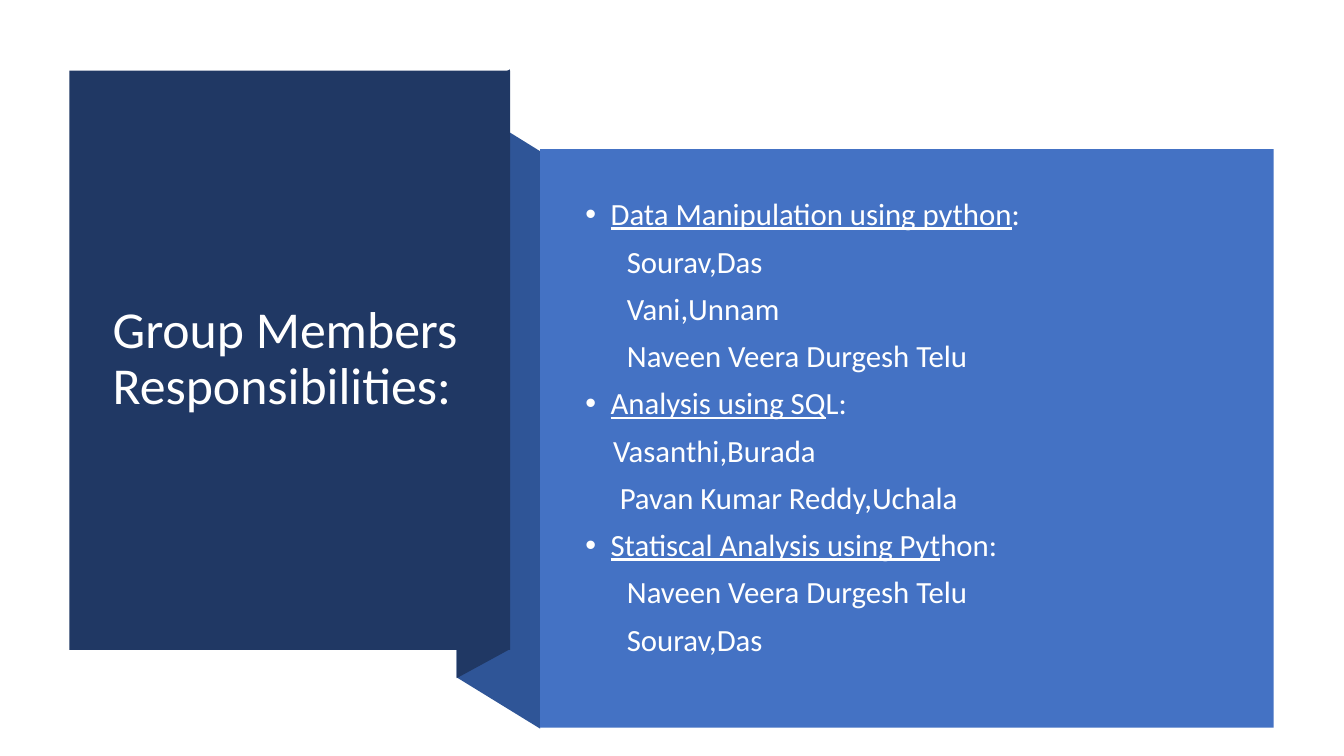
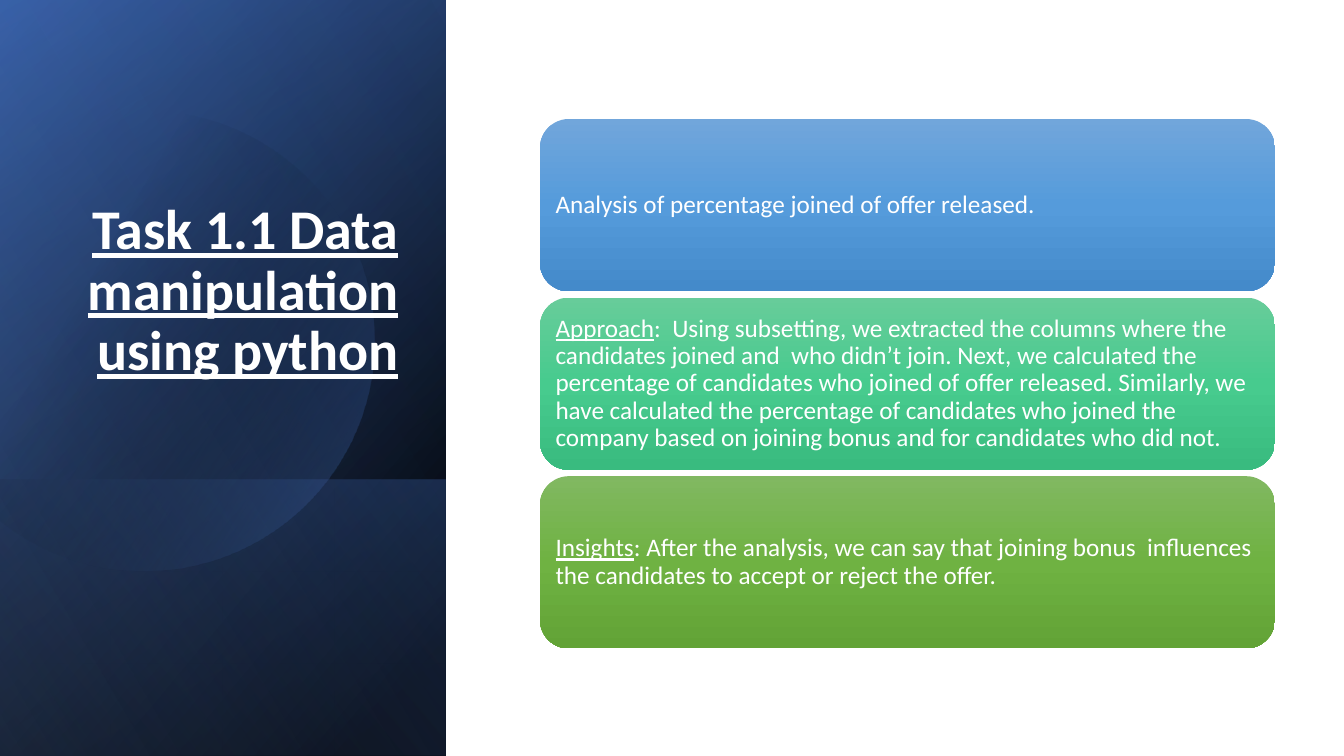
from math import acos, cos, sin

from pptx import Presentation
from pptx.dml.color import RGBColor
from pptx.enum.shapes import MSO_SHAPE
from pptx.enum.text import MSO_ANCHOR, PP_ALIGN
from pptx.oxml import parse_xml
from pptx.oxml.ns import nsdecls
from pptx.util import Cm, Pt

RECT, ROUND = MSO_SHAPE.RECTANGLE, MSO_SHAPE.ROUNDED_RECTANGLE
MIDDLE, BOTTOM = MSO_ANCHOR.MIDDLE, MSO_ANCHOR.BOTTOM
LEFT, RIGHT = PP_ALIGN.LEFT, PP_ALIGN.RIGHT

FONT = "Calibri"
WHITE = RGBColor(0xFF, 0xFF, 0xFF)
BLACK = RGBColor(0x00, 0x00, 0x00)
NAVY = RGBColor(0x20, 0x38, 0x64)
DEEP = RGBColor(0x2F, 0x55, 0x97)
BLUE = RGBColor(0x44, 0x72, 0xC4)
PALE = RGBColor(0x8F, 0xAA, 0xDC)
SKIES = [RGBColor(0x71, 0xA6, 0xDB), RGBColor(0x55, 0x9B, 0xDB), RGBColor(0x44, 0x8A, 0xCA)]
MINTS = [RGBColor(0x67, 0xCC, 0x9A), RGBColor(0x47, 0xCB, 0x8E), RGBColor(0x39, 0xBB, 0x7F)]
LEAVES = [RGBColor(0x81, 0xB8, 0x61), RGBColor(0x6F, 0xB2, 0x42), RGBColor(0x62, 0xA3, 0x36)]


def paint(shape, fill, angle=0):
    """Fill with one colour, or with (percent, colour, opacity) stops."""
    shape.shadow.inherit = False
    shape.line.fill.background()
    if isinstance(fill, RGBColor):
        shape.fill.solid()
        shape.fill.fore_color.rgb = fill
        return
    shape.fill.background()
    stops = "".join(
        f'<a:gs pos="{pos * 1000}"><a:srgbClr val="{tint}">'
        f'<a:alpha val="{alpha * 1000}"/></a:srgbClr></a:gs>'
        for pos, tint, alpha in fill)
    props = shape._element.spPr
    blank = props.find("{*}noFill")
    props.replace(blank, parse_xml(
        f'<a:gradFill {nsdecls("a")} rotWithShape="1"><a:gsLst>{stops}</a:gsLst>'
        f'<a:lin ang="{angle * 60000}" scaled="0"/></a:gradFill>'))


def write(para, runs, size, bold=False, align=LEFT):
    """Add (text, underlined) runs to a paragraph."""
    para.alignment = align
    para.line_spacing = 0.9
    for text, under in runs:
        run = para.add_run()
        run.text = text
        font = run.font
        font.name, font.size, font.bold = FONT, Pt(size), bold
        font.underline = under
        font.color.rgb = WHITE


prs = Presentation()
prs.slide_width, prs.slide_height = Cm(33.87), Cm(19.05)
duty, task = [prs.slides.add_slide(prs.slide_layouts[6]) for _ in range(2)]

# Slide 1: folded ribbon and panels
folds = [
    (DEEP, [(13.61, 18.36), (11.51, 17.07), (11.51, 2.51), (13.61, 3.81)]),
    (NAVY, [(12.85, 16.36), (11.51, 17.09), (11.51, 2.49), (12.85, 1.75)]),
]
for tint, points in folds:
    (x, y), *rest = [(Cm(a), Cm(b)) for a, b in points]
    pen = duty.shapes.build_freeform(x, y)
    pen.add_line_segments(rest)
    paint(pen.convert_to_shape(), tint)
for tint, box in [(NAVY, (1.75, 1.78, 11.11, 14.6)), (BLUE, (13.61, 3.76, 18.49, 14.58))]:
    paint(duty.shapes.add_shape(RECT, *map(Cm, box)), tint)

# Slide 2: layered gradient band
layers = [
    (0, [(0, DEEP, 100), (92, BLACK, 100)], 40),
    (0, [(1, BLUE, 46), (100, BLACK, 0)], 60),
    (12.09, [(2, BLUE, 29), (100, BLACK, 30)], 140),
]
for top, stops, angle in layers:
    band = task.shapes.add_shape(RECT, 0, Cm(top), Cm(11.23), Cm(19.05 - top))
    paint(band, stops, angle)

# Disc cut off at the slide edge
mid, high, radius, steps = 3.63, 8.59, 5.8, 90
edge = acos(-mid / radius)
turns = [edge * (2 * i / steps - 1) for i in range(steps + 1)]
first, *rest = [(Cm(mid + radius * cos(t)), Cm(high + radius * sin(t))) for t in turns]
pen = task.shapes.build_freeform(*first)
pen.add_line_segments(rest)
paint(pen.convert_to_shape(), [(29, BLACK, 0), (100, BLUE, 43)], 30)
sheen = task.shapes.add_shape(RECT, 0, 0, Cm(11.23), Cm(19.05))
paint(sheen, [(1, PALE, 11), (100, BLACK, 0)], 330)

# Titles
titles = [
    (duty, (2.59, 2.72, 9.42, 12.67), MIDDLE, "Group Members Responsibilities:", 37, False, LEFT),
    (task, (1.63, 4.67, 8.66, 5.1), BOTTOM, "Task 1.1 Data manipulation using python", 40, True, RIGHT),
]
for slide, box, anchor, text, size, strong, align in titles:
    frame = slide.shapes.add_textbox(*map(Cm, box)).text_frame
    frame.word_wrap = True
    frame.vertical_anchor = anchor
    write(frame.paragraphs[0], [(text, strong)], size, strong, align)

# Slide 1: duties as bullets, members indented below
groups = [
    ("Data Manipulation using python", ":",
     [("Sourav,Das", 1.05), ("Vani,Unnam", 1.05), ("Naveen Veera Durgesh Telu", 1.05)]),
    ("Analysis using SQ", "L:",
     [("Vasanthi,Burada", 0.7), ("Pavan Kumar Reddy,Uchala", 0.87)]),
    ("Statiscal Analysis using Pyt", "hon:",
     [("Naveen Veera Durgesh Telu", 1.05), ("Sourav,Das", 1.05)]),
]
lines = []
for head, tail, names in groups:
    lines.append(([(head, True), (tail, False)], 0.64, True))
    lines += [([(name, False)], indent, False) for name, indent in names]

frame = duty.shapes.add_textbox(*map(Cm, (14.5, 4.78, 16.54, 12.04))).text_frame
frame.word_wrap = True
frame.vertical_anchor = MIDDLE
for i, (runs, indent, dot) in enumerate(lines):
    para = frame.add_paragraph() if i else frame.paragraphs[0]
    write(para, runs, 22)
    para.space_before = Pt(10)
    props = para._p.get_or_add_pPr()
    props.set("marL", str(Cm(indent)))
    if dot:
        props.set("indent", str(-Cm(indent)))
        props.append(parse_xml(f'<a:buFont {nsdecls("a")} typeface="Arial"/>'))
        props.append(parse_xml(f'<a:buChar {nsdecls("a")} char="•"/>'))

# Slide 2: cards
cards = [
    (SKIES, [("Analysis of percentage joined of offer released.", False)]),
    (MINTS, [("Approach", True),
             (":  Using subsetting, we extracted the columns where the candidates joined and  "
              "who didn’t join. Next, we calculated the percentage of candidates who joined of "
              "offer released. Similarly, we have calculated the percentage of candidates who "
              "joined the company based on joining bonus and for candidates who did not.", False)]),
    (LEAVES, [("Insights", True),
              (": After the analysis, we can say that joining bonus  influences the candidates "
               "to accept or reject the offer.", False)]),
]
for i, (tints, runs) in enumerate(cards):
    card = task.shapes.add_shape(ROUND, Cm(13.61), Cm(3 + 4.5 * i), Cm(18.52), Cm(4.34))
    paint(card, [(50 * n, tint, 100) for n, tint in enumerate(tints)], 90)
    frame = card.text_frame
    frame.word_wrap = True
    frame.vertical_anchor = MIDDLE
    frame.margin_left = frame.margin_right = Cm(0.18)
    frame.margin_top = frame.margin_bottom = Cm(0.18)
    write(frame.paragraphs[0], runs, 18)

prs.save("out.pptx")
